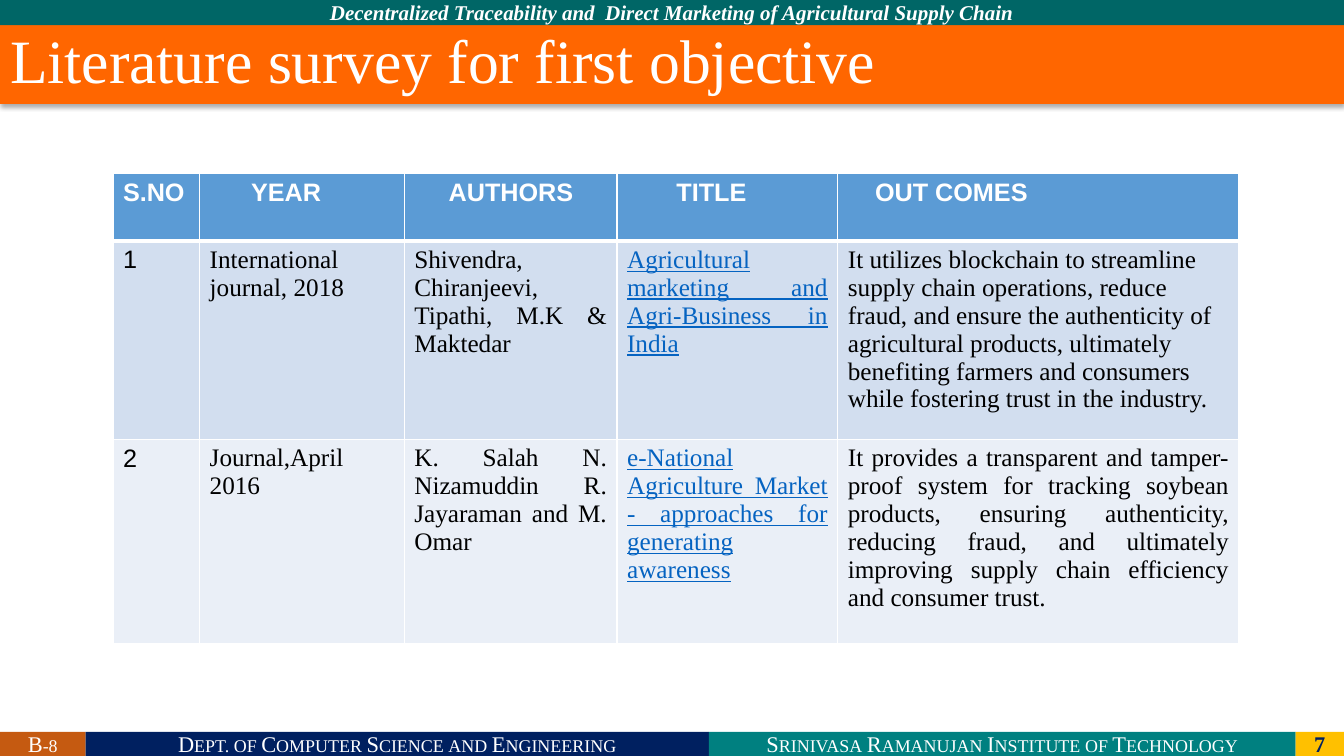
from dataclasses import dataclass
from typing import Optional

from lxml import etree
from pptx import Presentation
from pptx.dml.color import RGBColor
from pptx.enum.shapes import MSO_SHAPE
from pptx.enum.text import MSO_ANCHOR, MSO_AUTO_SIZE, PP_ALIGN
from pptx.oxml import parse_xml
from pptx.oxml.ns import nsdecls, qn
from pptx.util import Inches, Pt

RECTANGLE = MSO_SHAPE.RECTANGLE
TOP, MIDDLE = MSO_ANCHOR.TOP, MSO_ANCHOR.MIDDLE
NO_AUTOFIT = MSO_AUTO_SIZE.NONE
LEFT, CENTER, JUSTIFY = PP_ALIGN.LEFT, PP_ALIGN.CENTER, PP_ALIGN.JUSTIFY


@dataclass(frozen=True)
class Theme:
    serif: str = "Times New Roman"
    sans: str = "Arial"
    white: str = "FFFFFF"
    black: str = "000000"
    navy: str = "002060"
    teal: str = "008080"
    dark_teal: str = "006666"
    gold: str = "FFC000"
    rust: str = "C55A11"
    orange: str = "FF6600"
    link: str = "0563C1"
    header: str = "5B9BD5"
    bands: tuple[str, str] = ("D2DEEF", "EAEFF7")
    title_size: float = 44
    cell_size: float = 18
    footer_size: float = 16
    banner_size: float = 15


THEME = Theme()
SLIDE_WIDTH, SLIDE_HEIGHT = 13.33, 7.5


@dataclass(frozen=True)
class TextStyle:
    size: float
    color: str
    font: str = THEME.serif
    bold: bool = False
    italic: bool = False
    underline: bool = False
    small_caps: bool = False
    align: PP_ALIGN = LEFT


@dataclass(frozen=True)
class Bar:
    text: str
    left: float
    top: float
    width: float
    height: float
    fill: str
    style: TextStyle


@dataclass(frozen=True)
class Cell:
    text: str
    style: TextStyle
    indent: Optional[float] = None


FOOTER = TextStyle(THEME.footer_size, THEME.white, small_caps=True, align=CENTER)
PAGE_NUMBER = TextStyle(THEME.footer_size, THEME.navy, bold=True, align=CENTER)
BANNER = TextStyle(THEME.banner_size, THEME.white, bold=True, italic=True, align=CENTER)
TITLE = TextStyle(THEME.title_size, THEME.white, align=JUSTIFY)
HEADING = TextStyle(THEME.cell_size, THEME.white, THEME.sans, bold=True)
NUMBER = TextStyle(THEME.cell_size, THEME.black, THEME.sans)
BODY = TextStyle(THEME.cell_size, THEME.black)
JUSTIFIED = TextStyle(THEME.cell_size, THEME.black, align=JUSTIFY)
LINKED = TextStyle(THEME.cell_size, THEME.link, underline=True, align=JUSTIFY)

FOOTER_TOP, FOOTER_HEIGHT = 7.26, 0.24
BARS = [
    Bar("Decentralized Traceability and  Direct Marketing of Agricultural Supply Chain",
        0, 0, SLIDE_WIDTH, 0.25, THEME.dark_teal, BANNER),
    Bar("B-8", 0, FOOTER_TOP, 0.85, FOOTER_HEIGHT, THEME.rust, FOOTER),
    Bar("Dept. of Computer Science and Engineering",
        0.85, FOOTER_TOP, 6.18, FOOTER_HEIGHT, THEME.navy, FOOTER),
    Bar("Srinivasa Ramanujan Institute of Technology",
        7.03, FOOTER_TOP, 5.82, FOOTER_HEIGHT, THEME.teal, FOOTER),
    Bar("7", 12.85, FOOTER_TOP, 0.48, FOOTER_HEIGHT, THEME.gold, PAGE_NUMBER),
]

COLUMN_WIDTHS = [0.86, 2.03, 2.11, 2.19, 3.98]
ROW_HEIGHTS = [0.67, 1.97, 2.03]
SURVEY = [
    [Cell("S.NO", HEADING), Cell("YEAR", HEADING, 0.51), Cell("AUTHORS", HEADING, 0.44),
     Cell("TITLE", HEADING, 0.59), Cell("OUT COMES", HEADING, 0.37)],
    [Cell("1", NUMBER),
     Cell("International journal, 2018", JUSTIFIED),
     Cell("Shivendra, Chiranjeevi, Tipathi, M.K & Maktedar", JUSTIFIED),
     Cell("Agricultural marketing and Agri-Business in India", LINKED),
     Cell("It utilizes blockchain to streamline supply chain operations, reduce fraud, "
          "and ensure the authenticity of agricultural products, ultimately benefiting "
          "farmers and consumers while fostering trust in the industry.", BODY)],
    [Cell("2", NUMBER),
     Cell("Journal,April 2016", BODY),
     Cell("K. Salah N. Nizamuddin R. Jayaraman and M. Omar", JUSTIFIED),
     Cell("e-National Agriculture Market - approaches for generating awareness", LINKED),
     Cell("It provides a transparent and tamper-proof system for tracking soybean "
          "products, ensuring authenticity, reducing fraud, and ultimately improving "
          "supply chain efficiency and consumer trust.", JUSTIFIED)],
]


def set_fill(target, color: str) -> None:
    target.fill.solid()
    target.fill.fore_color.rgb = RGBColor.from_string(color)


def write_text(frame, text: str, style: TextStyle) -> None:
    frame.text = text
    frame.word_wrap = True
    para = frame.paragraphs[0]
    para.alignment = style.align
    font = para.font
    font.name, font.size = style.font, Pt(style.size)
    font.bold, font.italic, font.underline = style.bold, style.italic, style.underline
    font.color.rgb = RGBColor.from_string(style.color)
    if style.small_caps:
        para._p.pPr.find(qn("a:defRPr")).set("cap", "small")


def add_bar(slide, bar: Bar) -> None:
    box = slide.shapes.add_shape(RECTANGLE, Inches(bar.left), Inches(bar.top),
                                 Inches(bar.width), Inches(bar.height))
    box.shadow.inherit = False
    box.line.fill.background()
    set_fill(box, bar.fill)
    box.text_frame.vertical_anchor = MIDDLE
    write_text(box.text_frame, bar.text, bar.style)


def format_title(title, text: str) -> None:
    title.left, title.top = Inches(0), Inches(0.25)
    title.width, title.height = Inches(SLIDE_WIDTH), Inches(0.78)
    set_fill(title, THEME.orange)
    frame = title.text_frame
    write_text(frame, text, TITLE)
    frame.auto_size, frame.vertical_anchor = NO_AUTOFIT, TOP
    frame.paragraphs[0].line_spacing = 0.9
    title._element.spPr.append(parse_xml(
        f'<a:effectLst {nsdecls("a")}><a:outerShdw blurRad="{Pt(3.5)}" dist="{Pt(2.2)}" '
        f'dir="5400000" algn="t" rotWithShape="0"><a:srgbClr val="{THEME.black}">'
        '<a:alpha val="32000"/></a:srgbClr></a:outerShdw></a:effectLst>'))


def add_borders(cell, bottom_width: float) -> None:
    properties = cell._tc.get_or_add_tcPr()
    for side, width in (("L", 1), ("R", 1), ("T", 1), ("B", bottom_width)):
        line = etree.SubElement(properties, qn(f"a:ln{side}"), w=str(Pt(width)))
        fill = etree.SubElement(line, qn("a:solidFill"))
        etree.SubElement(fill, qn("a:srgbClr"), val=THEME.white)


def add_survey_table(slide) -> None:
    frame = slide.shapes.add_table(
        len(ROW_HEIGHTS), len(COLUMN_WIDTHS), Inches(1.12), Inches(1.72),
        Inches(sum(COLUMN_WIDTHS)), Inches(sum(ROW_HEIGHTS)))
    table = frame.table
    table.horz_banding = False
    for column, width in zip(table.columns, COLUMN_WIDTHS):
        column.width = Inches(width)
    fills = (THEME.header, *THEME.bands)
    for row_index, (row, height, fill) in enumerate(zip(table.rows, ROW_HEIGHTS, fills)):
        row.height = Inches(height)
        for cell, content in zip(row.cells, SURVEY[row_index]):
            add_borders(cell, 3 if row_index == 0 else 1)
            set_fill(cell, fill)
            write_text(cell.text_frame, content.text, content.style)
            if content.indent is not None:
                cell.margin_left = Inches(content.indent)


def main() -> None:
    deck = Presentation()
    deck.slide_width, deck.slide_height = Inches(SLIDE_WIDTH), Inches(SLIDE_HEIGHT)
    slide = deck.slides.add_slide(deck.slide_layouts.get_by_name("Title Only"))
    for bar in BARS:
        add_bar(slide, bar)
    format_title(slide.shapes.title, "Literature survey for first objective")
    add_survey_table(slide)
    deck.save("out.pptx")


if __name__ == "__main__":
    main()
